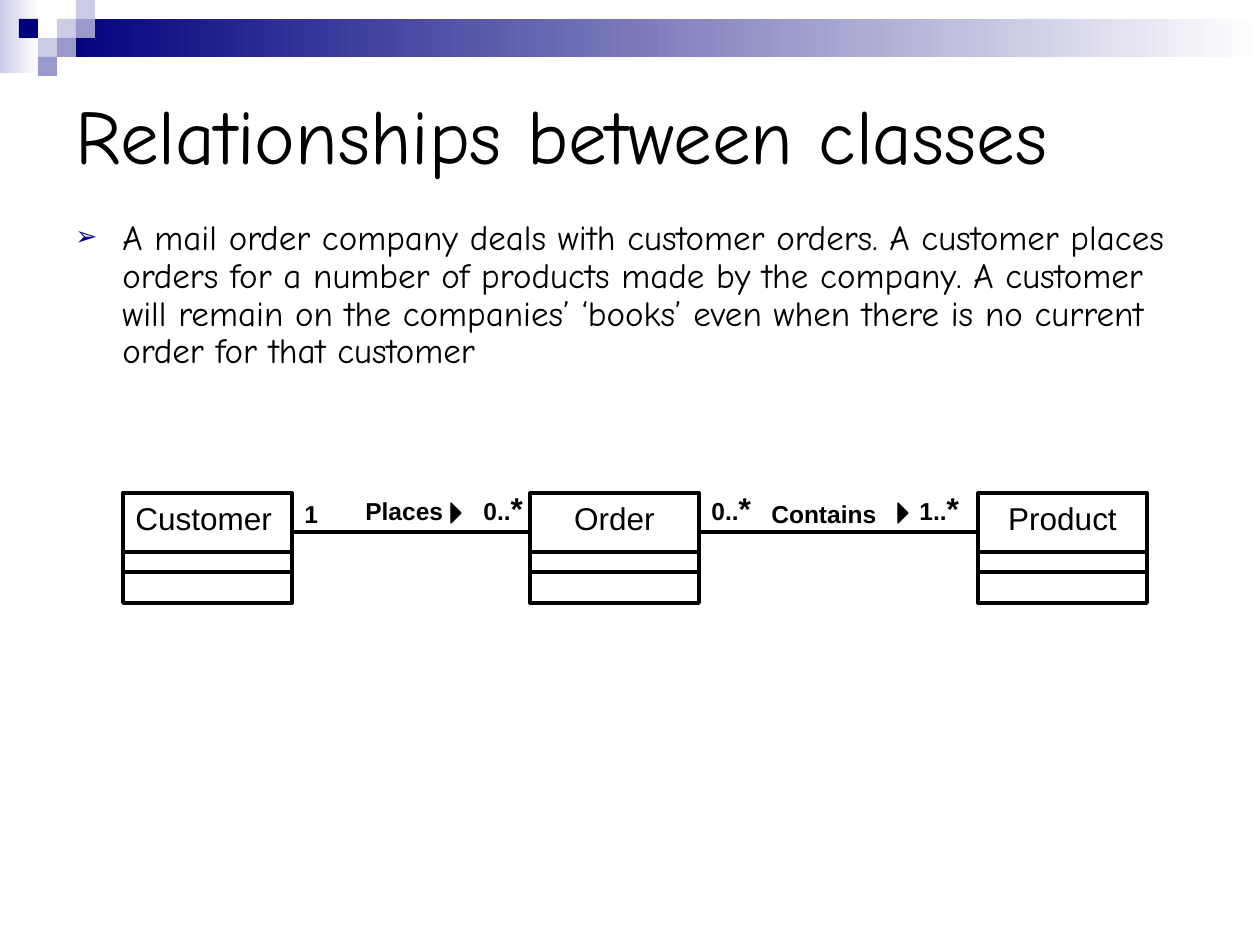
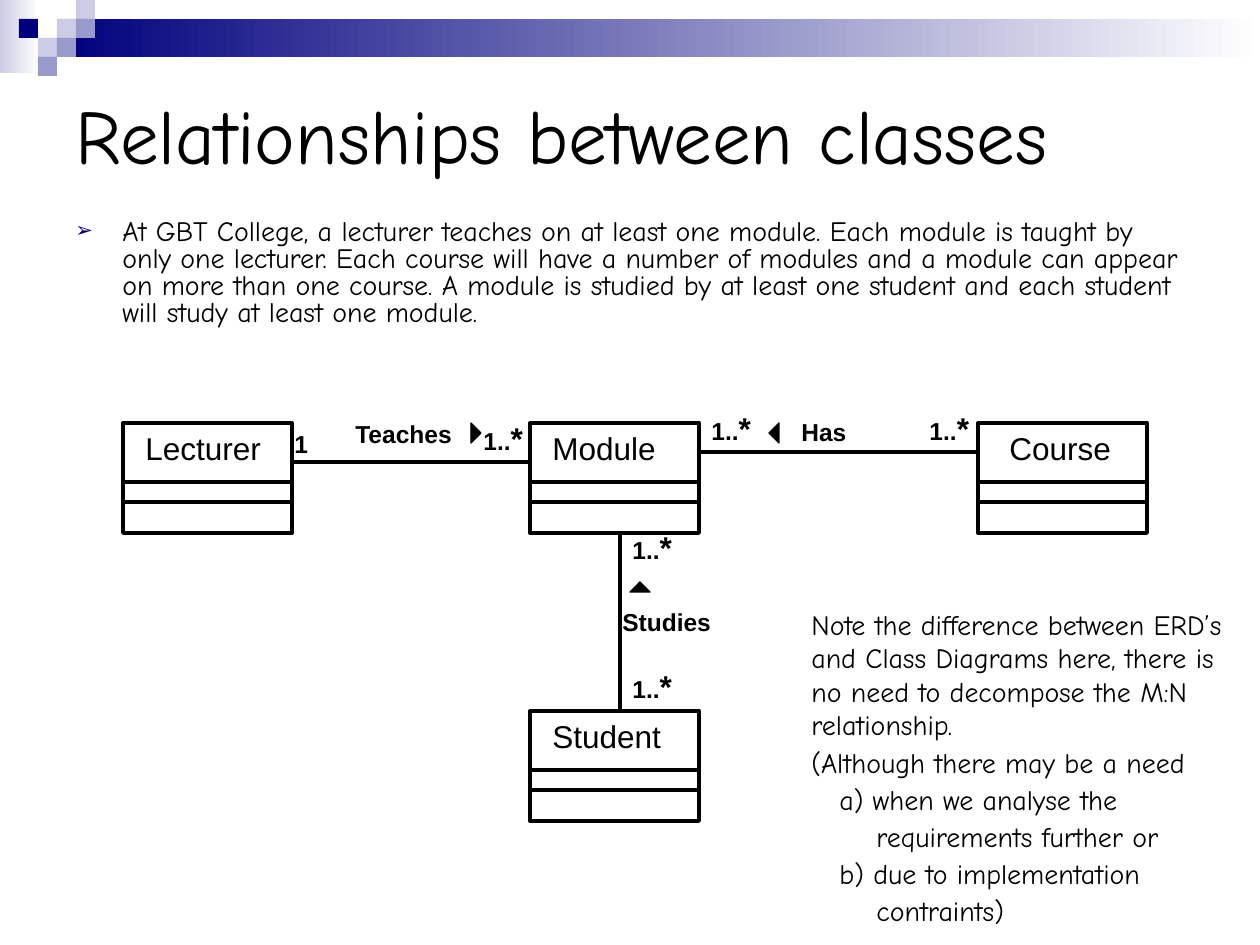
from lxml import etree
from pptx import Presentation
from pptx.dml.color import RGBColor
from pptx.enum.shapes import MSO_CONNECTOR, MSO_SHAPE
from pptx.enum.text import MSO_ANCHOR, PP_ALIGN
from pptx.oxml.ns import qn
from pptx.util import Emu, Pt

SCALE = 914400 / 126
PAGE_WIDTH, PAGE_HEIGHT = 1260, 945
BLACK = RGBColor(0x00, 0x00, 0x00)
WHITE = RGBColor(0xFF, 0xFF, 0xFF)
NAVY = RGBColor(0x00, 0x00, 0x7D)
LILAC = RGBColor(0x99, 0x99, 0xCC)
PALE = RGBColor(0xCC, 0xCC, 0xE6)
HAND_FONT, PLAIN_FONT = "Comic Neue", "Arial"
LEFT, CENTER = PP_ALIGN.LEFT, PP_ALIGN.CENTER
TOP, MIDDLE = MSO_ANCHOR.TOP, MSO_ANCHOR.MIDDLE
RECTANGLE, TRIANGLE = MSO_SHAPE.RECTANGLE, MSO_SHAPE.ISOSCELES_TRIANGLE
STRAIGHT = MSO_CONNECTOR.STRAIGHT

TITLE = "Relationships between classes"
TILE = 19
TILES = [(3, 1, PALE), (4, 0, PALE), (4, 1, LILAC), (2, 2, PALE),
         (1, 1, NAVY), (3, 2, LILAC), (2, 3, LILAC)]
CLASS_WIDTH, CLASS_HEIGHT = 169, 110
COMPARTMENT_LINES = (59, 79)
NAME_HEIGHT, LABEL_HEIGHT = 50, 43
ARROW_WIDTH, ARROW_HEIGHT = 20, 10
RIGHT, UP, BACK = 90, 0, 270


def px(value):
    return Emu(round(value * SCALE))


def add_text(page, left, top, width, height, text, size=18, font=PLAIN_FONT,
             bold=False, align=LEFT, anchor=TOP):
    box = page.shapes.add_textbox(px(left), px(top), px(width), px(height))
    frame = box.text_frame
    frame.word_wrap = True
    frame.vertical_anchor = anchor
    runs = [(text, size)] if isinstance(text, str) else text
    para = frame.paragraphs[0]
    para.alignment = align
    for words, points in runs:
        add_span(para, words, points, font, bold)
    return frame


def add_span(para, words, size, font, bold=False):
    span = para.add_run()
    span.text = words
    span.font.size = Pt(size)
    span.font.name = font
    span.font.bold = bold
    span.font.color.rgb = BLACK


def add_block(page, kind, left, top, width, height, fill=None, outline=None):
    shape = page.shapes.add_shape(kind, px(left), px(top), px(width), px(height))
    shape.shadow.inherit = False
    if fill is None:
        shape.fill.background()
    else:
        shape.fill.solid()
        shape.fill.fore_color.rgb = fill
    if outline is None:
        shape.line.fill.background()
    else:
        shape.line.color.rgb = BLACK
        shape.line.width = Pt(outline)
    return shape


def add_line(page, start_x, start_y, end_x, end_y):
    line = page.shapes.add_connector(
        STRAIGHT, px(start_x), px(start_y), px(end_x), px(end_y))
    line.line.color.rgb = BLACK
    line.line.width = Pt(2.25)
    properties = line._element.find(qn("p:spPr"))
    etree.SubElement(properties, qn("a:effectLst"))


def add_fade(page, left, top, width, height, color):
    fill = add_block(page, RECTANGLE, left, top, width, height).fill
    fill.gradient()
    fill.gradient_angle = 0
    for stop, position, shade in zip(fill.gradient_stops, (0, 1), (color, WHITE)):
        stop.position = position
        stop.color.rgb = shade


def add_header(page):
    add_fade(page, 0, 0, 39, 73, PALE)
    add_fade(page, 57, TILE, PAGE_WIDTH - 57, 2 * TILE, NAVY)
    for column, row, color in TILES:
        add_block(page, RECTANGLE, column * TILE, row * TILE, TILE, TILE, color)
    add_text(page, 63, 63, 1134, 141, TITLE, size=44, font=HAND_FONT, anchor=MIDDLE)


def set_margins(para, left, indent=0):
    properties = para._p.get_or_add_pPr()
    properties.set("marL", str(px(left)))
    properties.set("indent", str(px(indent)))
    return properties


def add_scenario(page, text, height, size, spacing):
    frame = add_text(page, 63, 214, 1134, height, text, size=size, font=HAND_FONT)
    para = frame.paragraphs[0]
    para.line_spacing = spacing
    para.space_before = Pt(size / 4)
    properties = set_margins(para, 47, -47)
    color = etree.SubElement(properties, qn("a:buClr"))
    etree.SubElement(color, qn("a:srgbClr"), val=str(NAVY))
    etree.SubElement(properties, qn("a:buSzPct"), val="75000")
    etree.SubElement(properties, qn("a:buFont"), typeface=PLAIN_FONT)
    etree.SubElement(properties, qn("a:buChar"), char="➢")


def add_class(page, left, top, name, name_offset):
    add_block(page, RECTANGLE, left, top, CLASS_WIDTH, CLASS_HEIGHT, outline=2.25)
    for offset in COMPARTMENT_LINES:
        add_line(page, left, top + offset, left + CLASS_WIDTH, top + offset)
    align = CENTER if name_offset is None else LEFT
    offset = name_offset or 0
    add_text(page, left + offset, top, CLASS_WIDTH - offset, NAME_HEIGHT, name,
             align=align)


def add_label(page, left, top, text):
    if text.endswith("*"):
        add_text(page, left, top, 70, NAME_HEIGHT, [(text[:-1], 14), ("*", 18)],
                 bold=True)
    else:
        add_text(page, left, top, 139, LABEL_HEIGHT, text, size=14, bold=True)


def add_arrow(page, center_x, center_y, rotation):
    arrow = add_block(page, TRIANGLE, center_x - ARROW_WIDTH / 2,
                      center_y - ARROW_HEIGHT / 2, ARROW_WIDTH, ARROW_HEIGHT,
                      BLACK, 0.75)
    arrow.rotation = rotation


def add_diagram(page, left, top, classes, associations, labels, arrows):
    for x, y, name, name_offset in classes:
        add_class(page, left + x, top + y, name, name_offset)
    for start_x, start_y, end_x, end_y in associations:
        add_line(page, left + start_x, top + start_y, left + end_x, top + end_y)
    for x, y, text in labels:
        add_label(page, left + x, top + y, text)
    for x, y, rotation in arrows:
        add_arrow(page, left + x, top + y, rotation)


def add_note(page, left, top, width, height, first, others):
    frame = add_text(page, left, top, width, height, first, size=16, font=HAND_FONT)
    for text, margin in others:
        para = frame.add_paragraph()
        para.space_before = Pt(2)
        set_margins(para, margin)
        add_span(para, text, 16, HAND_FONT)


def add_page(deck):
    page = deck.slides.add_slide(deck.slide_layouts[6])
    add_header(page)
    return page


def build_mail_order(deck):
    page = add_page(deck)
    add_scenario(
        page,
        "A mail order company deals with customer orders. A customer places "
        "orders for a number of products made by the company. A customer will "
        "remain on the companies’ ‘books’ even when there is no current order "
        "for that customer",
        height=198, size=20, spacing=0.9)
    add_diagram(
        page, 123, 493,
        classes=[(0, 0, "Customer", 0), (407, 0, "Order", None),
                 (855, 0, "Product", None)],
        associations=[(169, 39, 407, 39), (576, 39, 855, 39)],
        labels=[(169, 0, "1"), (230, -3, "Places"), (348, -10, "0..*"),
                (576, -10, "0..*"), (636, 0, "Contains"), (784, -10, "1..*")],
        arrows=[(333, 20, RIGHT), (780, 20, RIGHT)])


def build_college(deck):
    page = add_page(deck)
    add_scenario(
        page,
        "At GBT College, a lecturer teaches on at least one module. Each module "
        "is taught by only one lecturer. Each course will have a number of "
        "modules and a module can appear on more than one course. A module is "
        "studied by at least one student and each student will study at least "
        "one module.",
        height=159, size=16, spacing=0.8)
    add_diagram(
        page, 123, 423,
        classes=[(0, 0, "Lecturer", 10), (407, 0, "Module", 10),
                 (855, 0, "Course", 19), (407, 288, "Student", 10)],
        associations=[(169, 39, 407, 39), (576, 29, 855, 29), (497, 288, 497, 110)],
        labels=[(159, 0, "1"), (220, -10, "Teaches"), (348, -10, "1..*"),
                (576, -20, "1..*"), (666, -12, "Has"), (794, -20, "1..*"),
                (497, 99, "1..*"), (487, 178, "Studies"), (497, 238, "1..*")],
        arrows=[(353, 10, RIGHT), (651, 10, BACK), (517, 164, UP)])
    add_note(
        page, 799, 601, 437, 333,
        "Note the difference between ERD’s and Class Diagrams here, there is no "
        "need to decompose the M:N relationship.",
        [("(Although there may be a need", 0),
         ("a) when we analyse the", 28),
         ("requirements further or", 65),
         ("b) due to implementation", 28),
         ("contraints)", 65)])


def main():
    deck = Presentation()
    deck.slide_width, deck.slide_height = px(PAGE_WIDTH), px(PAGE_HEIGHT)
    build_mail_order(deck)
    build_college(deck)
    deck.save("out.pptx")


if __name__ == "__main__":
    main()
